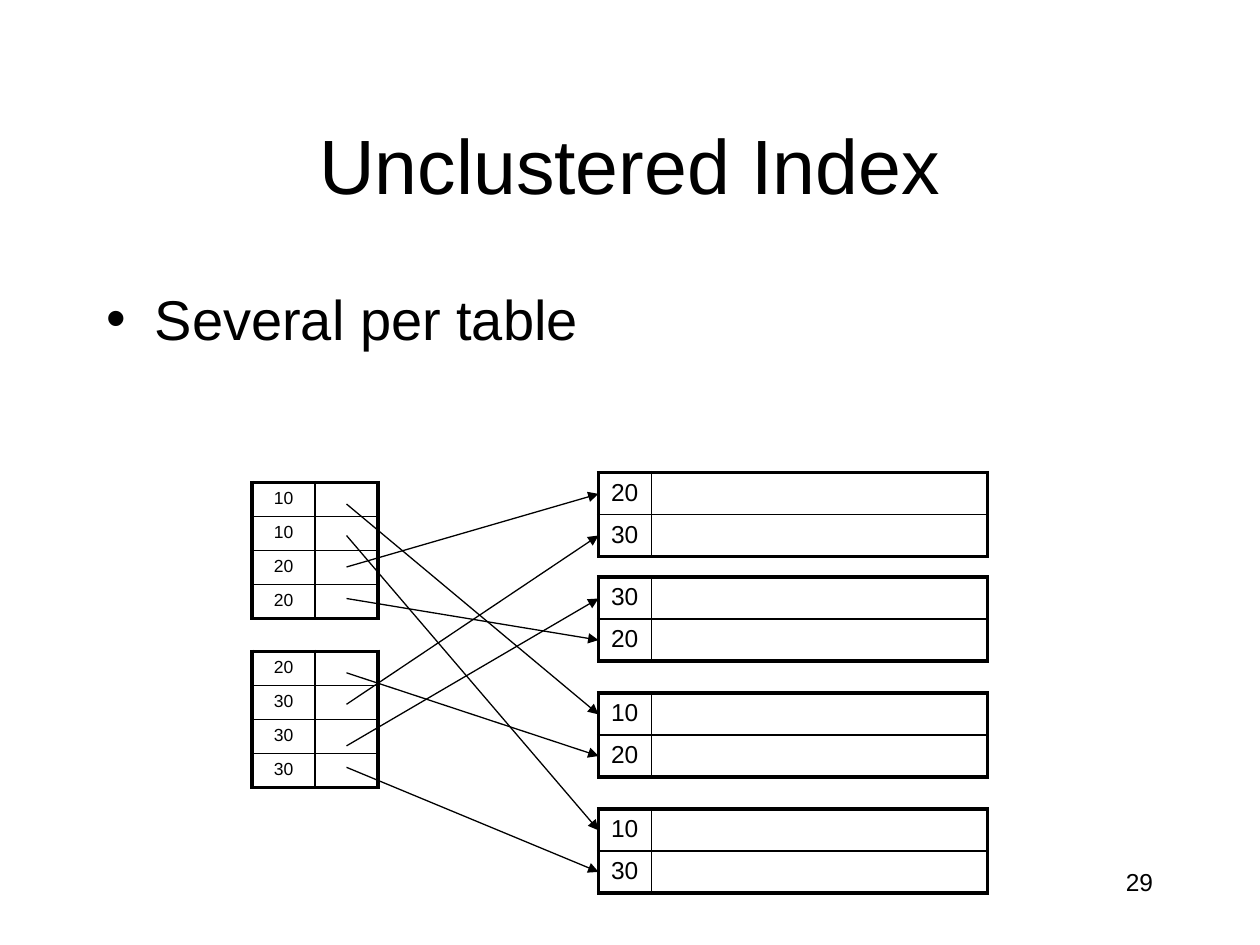
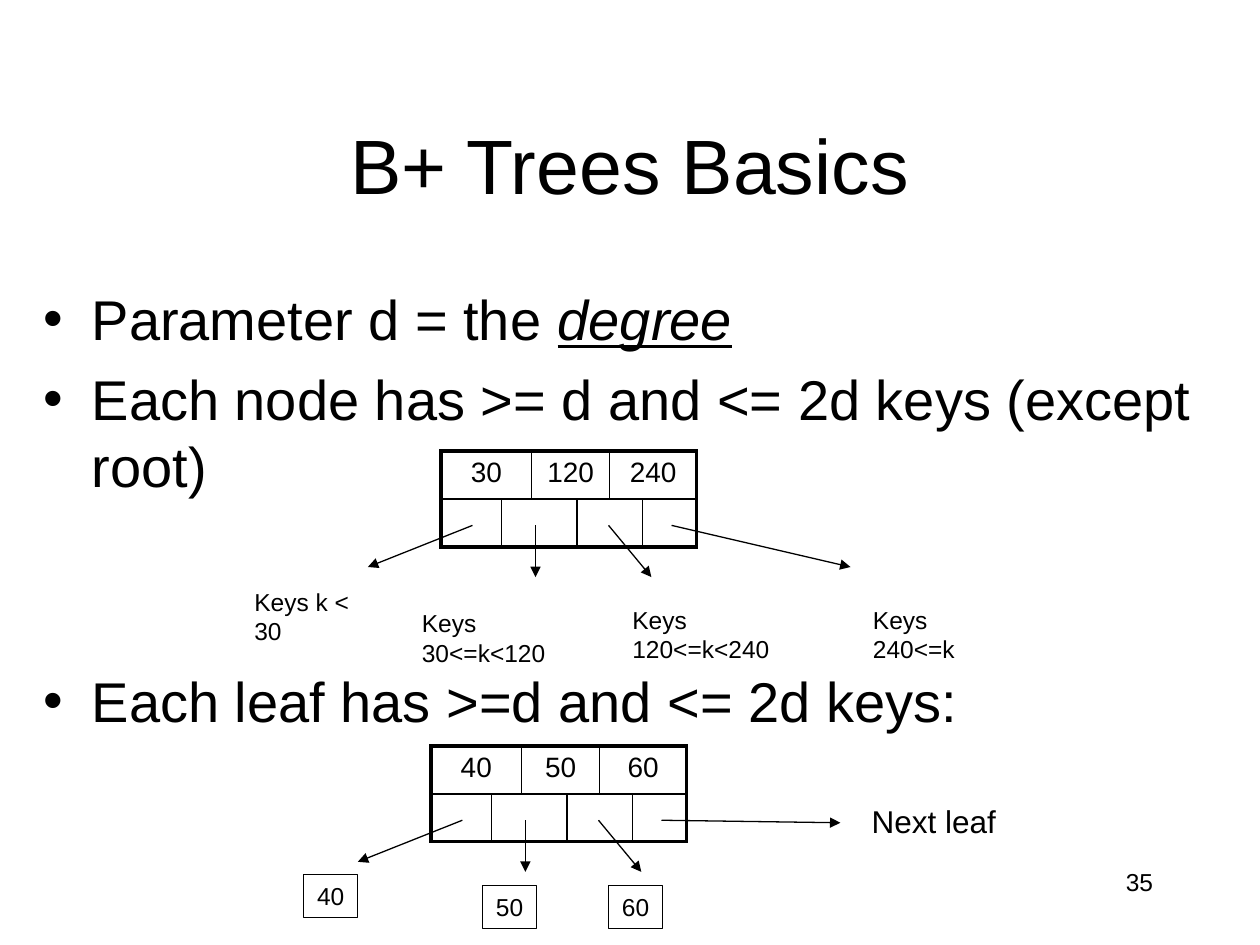
from dataclasses import dataclass
from lxml.etree import SubElement as Sub
from pptx import Presentation
from pptx.dml.color import RGBColor as RGB
from pptx.enum.shapes import MSO_CONNECTOR as Line, MSO_SHAPE as Form
from pptx.enum.text import MSO_ANCHOR as Anchor, PP_ALIGN as Align
from pptx.oxml.ns import qn
from pptx.util import Inches, Pt


@dataclass(frozen=True)
class Theme:
    ink: str = "000000"
    font: str = "Arial"
    title: int = 44
    body: int = 32
    link: int = 18
    key: int = 16
    note: int = 14
    small: int = 10
    thick: float = 2.25
    thin: float = 1
    arrow: float = 0.75


THEME = Theme()
INK = RGB.from_string(THEME.ink)


def lens(box):
    return [Inches(n) for n in box]


def style(para, size, align=Align.LEFT):
    para.alignment = align
    for run in para.runs:
        run.font.size = Pt(size)
        run.font.name = THEME.font
        run.font.color.rgb = INK


def write(slide, box, text, size, align=Align.LEFT, anchor=Anchor.TOP):
    frame = slide.shapes.add_textbox(*lens(box)).text_frame
    frame.word_wrap = True
    frame.vertical_anchor = anchor
    frame.text = text
    for para in frame.paragraphs:
        style(para, size, align)
    return frame


def bullets(slide, box, items, gaps):
    frame = write(slide, box, "\n".join(items), THEME.body)
    frame.margin_top = Inches(0.09)
    for para, gap in zip(frame.paragraphs, gaps):
        props = para._p.get_or_add_pPr()
        props.set("marL", str(Inches(0.38)))
        props.set("indent", str(-Inches(0.38)))
        Sub(props, qn("a:buFont"), typeface=THEME.font)
        Sub(props, qn("a:buChar"), char="•")
        para.space_before = Pt(gap)
    return frame


def base(deck, title, page):
    slide = deck.slides.add_slide(deck.slide_layouts[6])
    write(slide, (7.17, 6.83, 2.08, 0.5), page, THEME.note, Align.RIGHT)
    write(slide, (0.75, 0.67, 8.5, 1.25), title, THEME.title, Align.CENTER, Anchor.MIDDLE)
    return slide


def arrow(slide, tail, head):
    line = slide.shapes.add_connector(Line.STRAIGHT, *lens(tail + head))
    line.line.color.rgb = INK
    line.line.width = Pt(THEME.arrow)
    Sub(line.line._get_or_add_ln(), qn("a:tailEnd"), type="triangle")
    Sub(line._element.spPr, qn("a:effectLst"))


def edge(cell, outer):
    props = cell._tc.get_or_add_tcPr()
    for side in "LRTB":
        width = THEME.thick if side in outer else THEME.thin
        line = Sub(props, qn("a:ln" + side), w=str(Pt(width)))
        fill = Sub(line, qn("a:solidFill"))
        Sub(fill, qn("a:srgbClr"), val=THEME.ink)


def grid(slide, spot, cols, high, rows, size, align=Align.CENTER, spans=()):
    box = (*spot, sum(cols), high * len(rows))
    table = slide.shapes.add_table(len(rows), len(cols), *lens(box)).table
    table.first_row = table.horz_banding = False
    for col, wide in zip(table.columns, cols):
        col.width = Inches(wide)
    for row in table.rows:
        row.height = Inches(high)
    for r, c in spans:
        table.cell(r, c).merge(table.cell(r, c + 1))
    for r, row in enumerate(rows):
        for c, text in enumerate(row):
            cell = table.cell(r, c)
            if cell.is_spanned:
                continue
            last = c + cell.span_width == len(cols)
            sides = {"L": c == 0, "R": last, "T": r == 0, "B": r == len(rows) - 1}
            edge(cell, [side for side, on in sides.items() if on])
            cell.fill.background()
            para = cell.text_frame.paragraphs[0]
            if text:
                para.text = text
                style(para, size, align)
            else:
                para._p.get_or_add_endParaRPr().set("sz", str(size * 100))


def index(slide, spot, keys, drops, heads):
    left, top = spot
    grid(slide, spot, (0.5, 0.5), 0.27, [(key, "") for key in keys], THEME.small)
    for drop, head in zip(drops, heads):
        arrow(slide, (left + 0.75, top + drop), head)


def node(slide, spot, keys, end):
    left, top = spot
    first, mid, last = keys
    rows = [(first, "", mid, "", last, ""), ("",) * 6]
    spans = [(0, 0), (0, 2), (0, 4), (1, 1), (1, 3)]
    grid(slide, spot, (0.48, 0.21, 0.36, 0.26, 0.26, 0.43), 0.38, rows, THEME.key, spans=spans)
    heads = [(-0.58, 0.92), (0.75, 1), (1.67, 1), end]
    for tail, (x, y) in zip((0.25, 0.75, 1.33, 1.83), heads):
        arrow(slide, (left + tail, top + 0.59), (left + x, top + y))


def ranges(slide, spot):
    left, top = spot
    labels = [
        ("Keys k < 30", 0, 0, 1.17), ("Keys 30<=k<120", 1.33, 0.17, 1.5),
        ("Keys 120<=k<240", 3, 0.14, 1.6), ("Keys 240<=k", 4.91, 0.14, 1.2),
    ]
    for text, x, y, wide in labels:
        write(slide, (left + x, top + y, wide, 0.33), text, THEME.note)


def leaves(slide, spot):
    left, top = spot
    for text, x, y in (("40", 0, 0), ("50", 1.42, 0.09), ("60", 2.42, 0.09)):
        shape = slide.shapes.add_shape(Form.RECTANGLE, *lens((left + x, top + y, 0.43, 0.34)))
        shape.shadow.inherit = False
        shape.fill.background()
        shape.line.color.rgb = INK
        shape.line.width = Pt(THEME.arrow)
        frame = shape.text_frame
        frame.word_wrap = False
        frame.vertical_anchor = Anchor.MIDDLE
        frame.text = text
        style(frame.paragraphs[0], THEME.note, Align.CENTER)


def sparse(deck):
    slide = base(deck, "Unclustered Index", "29")
    bullets(slide, (0.75, 2.17, 8.5, 4.5), ["Several per table"], [0])
    left, tops = 4.75, (3.75, 4.58, 5.5, 6.42)
    pairs = (("20", "30"), ("30", "20"), ("10", "20"), ("10", "30"))
    for top, pair in zip(tops, pairs):
        rows = [(key, "") for key in pair]
        grid(slide, (left, top), (0.42, 2.67), 0.32, rows, THEME.note, Align.LEFT)
    heads = [[(left, top + 0.17 + 0.33 * row) for row in range(2)] for top in tops]
    one, two, three, four = heads
    index(slide, (2, 3.83), ("10", "10", "20", "20"), (0.17, 0.42, 0.67, 0.92),
          (three[0], four[0], one[0], two[1]))
    index(slide, (2, 5.17), ("20", "30", "30", "30"), (0.17, 0.42, 0.75, 0.92),
          (three[1], one[1], two[0], four[1]))


def trees(deck):
    slide = base(deck, "B+ Trees Basics", "35")
    items = [
        "Parameter d = the ",
        "Each node has >= d and <= 2d keys (except root)",
        "Each leaf has >=d and <= 2d keys:",
    ]
    frame = bullets(slide, (0.25, 2.17, 9.5, 4.5), items, (0, 7, 96))
    para = frame.paragraphs[0]
    run = para.add_run()
    run.text = "degree"
    run.font.italic = run.font.underline = True
    style(para, THEME.body)
    node(slide, (3.5, 3.58), ("30", "120", "240"), (3.25, 0.92))
    ranges(slide, (1.92, 4.61))
    node(slide, (3.42, 5.92), ("40", "50", "60"), (3.25, 0.61))
    leaves(slide, (2.41, 6.94))
    write(slide, (6.82, 6.32, 1.3, 0.4), "Next leaf", THEME.link)


def main():
    deck = Presentation()
    deck.slide_width, deck.slide_height = lens((10, 7.5))
    sparse(deck)
    trees(deck)
    deck.save("out.pptx")


if __name__ == "__main__":
    main()
